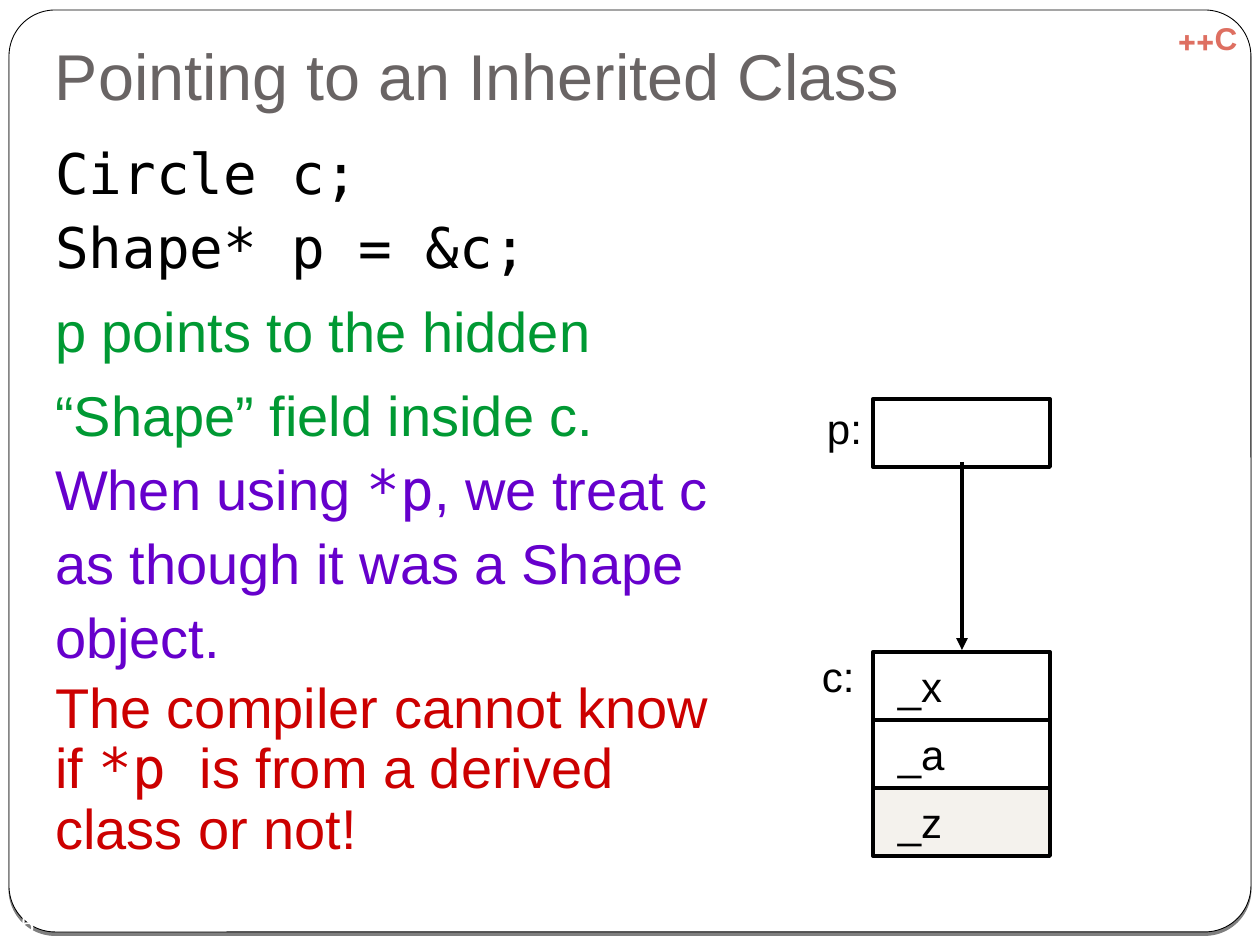
from lxml import etree
from pptx import Presentation, util as u
from pptx.dml.color import RGBColor
from pptx.enum import shapes, text
from pptx.oxml import parse_xml
from pptx.oxml.ns import qn

SCALE = 914400 // 126
SANS, MONO = "Arial", "DejaVu Sans Mono"
BLACK, WHITE = RGBColor(0, 0, 0), RGBColor(255, 255, 255)
GRAY, CORAL = RGBColor(0x69, 0x64, 0x64), RGBColor(0xDE, 0x6F, 0x61)
GREEN, PURPLE = RGBColor(0, 0x99, 0x33), RGBColor(0x66, 0, 0xCC)
RED, SAND = RGBColor(0xCC, 0, 0), RGBColor(0xF4, 0xF2, 0xED)
DRAWING = "http://schemas.openxmlformats.org/drawingml/2006/main"

deck = Presentation()
deck.slide_width, deck.slide_height = 1260 * SCALE, 945 * SCALE
slide = deck.slides.add_slide(deck.slide_layouts[6])


def box(left, top, width, height, fill=None, line=BLACK, weight=2.25, kind="RECTANGLE"):
    shape = slide.shapes.add_shape(
        shapes.MSO_SHAPE[kind], *(n * SCALE for n in (left, top, width, height)))
    shape.shadow.inherit = False
    if fill is None:
        shape.fill.background()
    else:
        shape.fill.solid()
        shape.fill.fore_color.rgb = fill
    shape.line.color.rgb = line
    shape.line.width = u.Pt(weight)
    return shape


def write(shape, paragraphs, size, insets=(13, 6, 13, 6), anchor="TOP", align="LEFT", wrap=True):
    """Each paragraph is (line spacing, points before, runs of (words, font, colour))."""
    frame = shape.text_frame
    frame.word_wrap = wrap
    frame.vertical_anchor = text.MSO_ANCHOR[anchor]
    (frame.margin_left, frame.margin_top,
     frame.margin_right, frame.margin_bottom) = (n * SCALE for n in insets)
    for index, (spacing, before, runs) in enumerate(paragraphs):
        para = frame.add_paragraph() if index else frame.paragraphs[0]
        para.alignment = text.PP_ALIGN[align]
        para.line_spacing = spacing
        para.space_before = u.Pt(before)
        for words, font, colour in runs:
            for number, piece in enumerate(words.split("\n")):
                if number:
                    para.add_line_break()
                if piece:
                    run = para.add_run()
                    run.text = piece
                    run.font.name, run.font.size = font, u.Pt(size)
                    run.font.color.rgb = colour
    return frame


# Rounded frame with its drop shadow
card = box(9, 10, 1242, 922, WHITE, weight=0.5, kind="ROUNDED_RECTANGLE")
card.adjustments[0] = 0.05
effects = card._element.spPr.find(qn("a:effectLst"))
effects.append(parse_xml(
    f'<a:outerShdw xmlns:a="{DRAWING}" blurRad="0" dist="25400" dir="5400000">'
    '<a:srgbClr val="000000"><a:alpha val="50000"/></a:srgbClr></a:outerShdw>'))

# Course tag, set right to left
course_tag = slide.shapes.add_textbox(*(n * SCALE for n in (1155, 13, 105, 50)))
tag_para = write(course_tag, [(1, 0, [("C++", SANS, CORAL)])], 18, align="CENTER").paragraphs[0]
tag_para.runs[0].font.bold = True
tag_para._p.get_or_add_pPr().set("rtl", "1")

# Title and page number
title = slide.shapes.add_textbox(*(n * SCALE for n in (42, 38, 1176, 88)))
write(title, [(0.8, 0, [("Pointing to an Inherited Class", SANS, GRAY)])], 37,
      (13, 6, 13, 13), "BOTTOM")
page_number = slide.shapes.add_textbox(*(n * SCALE for n in (0, 903, 42, 42)))
write(page_number, [(1, 0, [("15", SANS, WHITE)])], 14, (0, 0, 0, 0), "MIDDLE", "CENTER")

# Explanation
explanation = slide.shapes.add_textbox(*(n * SCALE for n in (42, 126, 703, 788)))
write(explanation, [
    (1.1, 5.8, [("Circle c; \nShape* p = &c; ", MONO, BLACK)]),
    (1.1, 5.8, [("p points to the hidden ", SANS, GREEN)]),
    (1.1, 5.8, [("“Shape” field inside c.\n", SANS, GREEN),
                ("When using ", SANS, PURPLE), ("*p", MONO, PURPLE),
                (", we treat c as though it was a Shape object.", SANS, PURPLE)]),
    (0.9, 5.8, [("The compiler cannot know if ", SANS, RED), ("*p ", MONO, RED),
                ("is from a derived class or not!", SANS, RED)]),
], 32)

# Memory diagram: object fields, pointer cell and their labels
CELL_LEFT, CELL_WIDTH, CELL_HEIGHT, OBJECT_TOP = 873, 177, 68, 652
CELL_INSETS = (25, 19, 25, 19)
for row, (field, fill) in enumerate([("_x", None), ("_a", None), ("_z", SAND)]):
    cell = box(CELL_LEFT, OBJECT_TOP + row * CELL_HEIGHT, CELL_WIDTH, CELL_HEIGHT, fill)
    write(cell, [(1, 0, [(field, SANS, BLACK)])], 24, CELL_INSETS, "MIDDLE")
box(CELL_LEFT, 399, CELL_WIDTH, CELL_HEIGHT)
for label, left, top in [("p:", 802, 384), ("c:", 797, 632)]:
    caption = slide.shapes.add_textbox(*(n * SCALE for n in (left, top, 86, 88)))
    write(caption, [(1, 0, [(label, SANS, BLACK)])], 24, CELL_INSETS, wrap=False)

# Arrow from the pointer to the object
arrow = slide.shapes.add_connector(
    shapes.MSO_CONNECTOR.STRAIGHT, *(n * SCALE for n in (962, 462, 962, 650)))
arrow.line.color.rgb = BLACK
arrow.line.width = u.Pt(2.25)
etree.SubElement(arrow.line._get_or_add_ln(), qn("a:tailEnd"), type="triangle")
etree.SubElement(arrow._element.spPr, qn("a:effectLst"))

deck.save("out.pptx")
